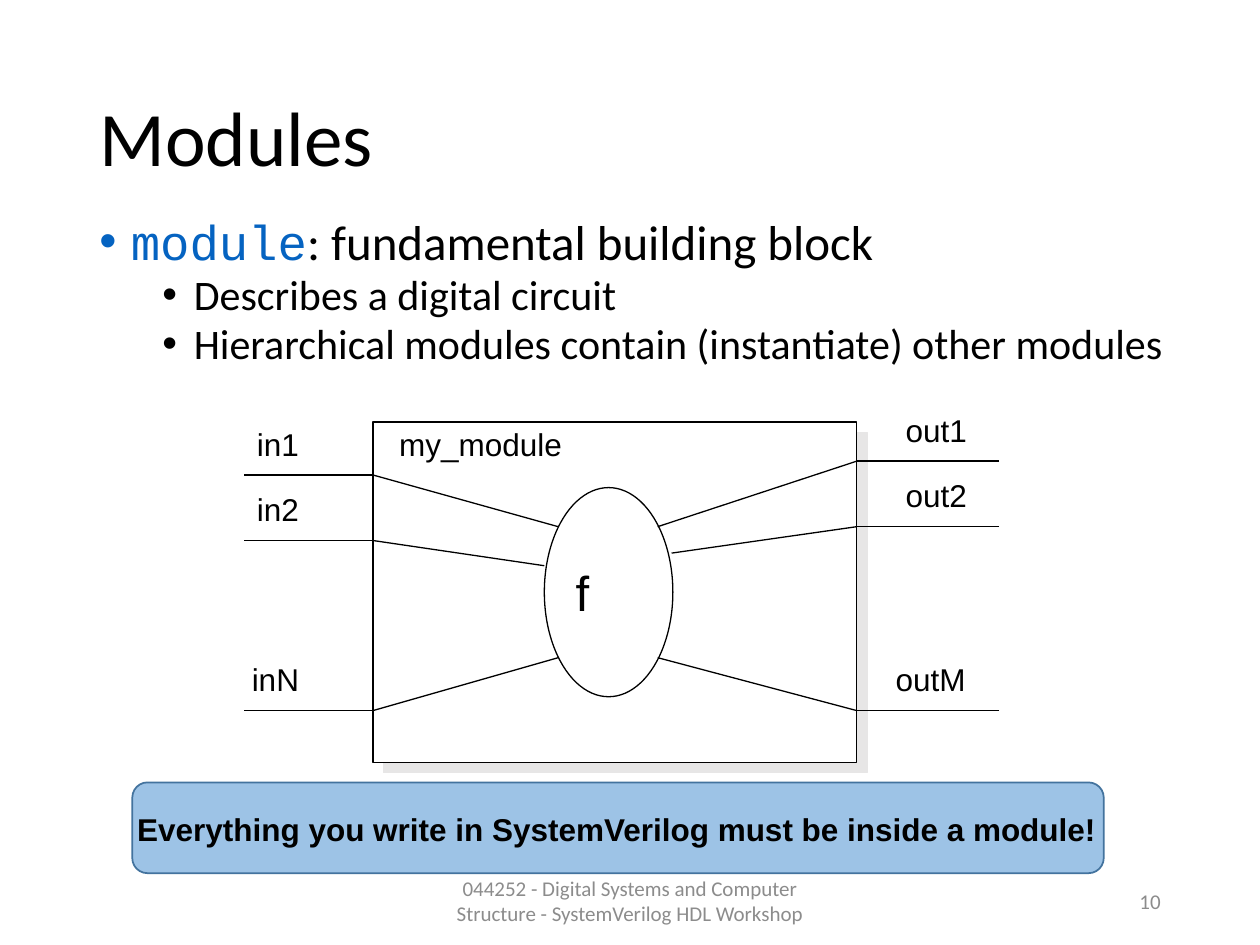
import dataclasses

import pptx
import pptx.dml.color
import pptx.enum.shapes
import pptx.enum.text
import pptx.oxml
import pptx.oxml.ns
import pptx.util

ALIGN = pptx.enum.text.PP_ALIGN
ANCHOR = pptx.enum.text.MSO_ANCHOR
SHAPE = pptx.enum.shapes.MSO_SHAPE
COLUMNS, ROWS = 100, 75


@dataclasses.dataclass(frozen=True)
class Theme:
    ink: str = "000000"
    paper: str = "FFFFFF"
    keyword: str = "0563C1"
    muted: str = "8C8C8C"
    shade: str = "E7E6E6"
    banner: str = "9DC3E6"
    banner_edge: str = "43739E"
    heading_font: str = "Calibri"
    diagram_font: str = "Arial"
    code_font: str = "Courier New"
    title: int = 44
    large: int = 28
    medium: int = 24
    label: int = 18
    footer: int = 12
    hairline: float = 0.75


THEME = Theme()


def color(value):
    return pptx.dml.color.RGBColor.from_string(value)


def write(paragraph, text, size, font=THEME.heading_font, ink=THEME.ink, bold=False):
    run = paragraph.add_run()
    run.text = text
    run.font.size = pptx.util.Pt(size)
    run.font.name = font
    run.font.color.rgb = color(ink)
    run.font.bold = bold


def add_effects(shape, content=""):
    effects = f'<a:effectLst {pptx.oxml.ns.nsdecls("a")}>{content}</a:effectLst>'
    shape._element.spPr.append(pptx.oxml.parse_xml(effects))


class SlideBuilder:
    def __init__(self, presentation, theme):
        self.theme = theme
        self.slide = presentation.slides.add_slide(presentation.slide_layouts[6])
        self.shapes = self.slide.shapes
        self.column = presentation.slide_width / COLUMNS
        self.row = presentation.slide_height / ROWS

    def place(self, left, top, width, height):
        return (round(left * self.column), round(top * self.row),
                round(width * self.column), round(height * self.row))

    def start_group(self):
        self.shapes = self.slide.shapes.add_group_shape().shapes

    def end_group(self):
        self.shapes = self.slide.shapes

    def text(self, area, text="", anchor=ANCHOR.MIDDLE, align=ALIGN.LEFT, spacing=None, **style):
        frame = self.shapes.add_textbox(*self.place(*area)).text_frame
        frame.word_wrap = True
        frame.vertical_anchor = anchor
        paragraph = frame.paragraphs[0]
        paragraph.alignment = align
        paragraph.line_spacing = spacing
        if text:
            write(paragraph, text, **style)
        return frame

    def label(self, area, text, **style):
        self.text(area, text, **{"size": self.theme.label, "font": self.theme.diagram_font, **style})

    def bullets(self, area, items):
        frame = self.text(area, anchor=ANCHOR.TOP)
        for index, (level, before, runs) in enumerate(items):
            paragraph = frame.add_paragraph() if index else frame.paragraphs[0]
            paragraph.level = level
            paragraph.line_spacing = 0.8
            paragraph.space_before = pptx.util.Pt(before)
            properties = paragraph._p.get_or_add_pPr()
            properties.set("marL", str(pptx.util.Inches(0.25 + 0.5 * level)))
            properties.set("indent", str(pptx.util.Inches(-0.25)))
            namespace = pptx.oxml.ns.nsdecls("a")
            properties.append(pptx.oxml.parse_xml(f'<a:buFont {namespace} typeface="Arial"/>'))
            properties.append(pptx.oxml.parse_xml(f'<a:buChar {namespace} char="•"/>'))
            for text, style in runs:
                write(paragraph, text, **style)

    def box(self, area, kind, fill, edge, width):
        shape = self.shapes.add_shape(kind, *self.place(*area))
        shape.shadow.inherit = False
        shape.fill.solid()
        shape.fill.fore_color.rgb = color(fill)
        shape.line.color.rgb = color(edge)
        shape.line.width = pptx.util.Pt(width)
        return shape

    def node(self, area, kind):
        return self.box(area, kind, self.theme.paper, self.theme.ink, self.theme.hairline)

    def cast_shadow(self, shape):
        shape._element.spPr.remove(shape._element.spPr.find(pptx.oxml.ns.qn("a:effectLst")))
        add_effects(shape, f'<a:outerShdw dist="{pptx.util.Pt(8.5)}" dir="2700000" algn="ctr" '
                           f'rotWithShape="0"><a:srgbClr val="{self.theme.shade}"/></a:outerShdw>')

    def wire(self, start, end):
        line = self.shapes.add_connector(
            pptx.enum.shapes.MSO_CONNECTOR.STRAIGHT, *self.place(*start, *end))
        line.line.color.rgb = color(self.theme.ink)
        line.line.width = pptx.util.Pt(self.theme.hairline)
        add_effects(line)


def draw_module(builder):
    left, right, label_height, label_rise = 29.6, 68, 5.4, 5.2
    builder.start_group()
    builder.cast_shadow(builder.node((left, 33.5, right - left, 27), SHAPE.RECTANGLE))
    function = builder.node((43.2, 38.7, 10.2, 16.6), SHAPE.OVAL).text_frame
    function.vertical_anchor = ANCHOR.MIDDLE
    function.paragraphs[0].alignment = ALIGN.LEFT
    write(function.paragraphs[0], "f", size=THEME.large, font=THEME.diagram_font)

    inputs = (19.4, left, (
        ("in1", 37.7, (44.3, 41.8), 19.4, 7.5),
        ("in2", 42.9, (43.2, 44.9), 19.4, 7.5),
        ("inN", 56.4, (44.3, 52.2), 19, 8.4)))
    outputs = (79.3, right, (
        ("out1", 36.6, (52.2, 41.8), 70.9, 9.4),
        ("out2", 41.8, (53.3, 43.9), 70.9, 9.4),
        ("outM", 56.4, (52.2, 52.2), 70.1, 10.9)))
    for outer, edge, ports in (inputs, outputs):
        for name, row, target, label_left, label_width in ports:
            builder.wire((outer, row), (edge, row))
            builder.wire((edge, row), target)
            builder.label((label_left, row - label_rise, label_width, label_height), name)
    builder.label((30.7, 32.5, 20.7, label_height), "my_module")
    builder.end_group()


def main():
    presentation = pptx.Presentation()
    presentation.slide_width = pptx.util.Inches(10)
    presentation.slide_height = pptx.util.Inches(7.5)
    builder = SlideBuilder(presentation, THEME)

    builder.text((6.9, 4, 86.2, 14.5), "Modules", spacing=0.9, size=THEME.title)
    builder.bullets((6.9, 17.2, 88.8, 46.3), (
        (0, 10, (
            ("module", {"size": THEME.large, "font": THEME.code_font, "ink": THEME.keyword}),
            (": fundamental building block", {"size": THEME.large}))),
        (1, 5, (("Describes a digital circuit", {"size": THEME.medium}),)),
        (1, 5, (("Hierarchical modules contain (instantiate) other modules",
                 {"size": THEME.medium}),))))
    footer = {"size": THEME.footer, "ink": THEME.muted}
    builder.text((33.1, 69.5, 33.8, 4),
                 "044252 - Digital Systems and Computer Structure - SystemVerilog HDL Workshop",
                 align=ALIGN.CENTER, **footer)
    builder.text((70.6, 69.5, 22.5, 4), "10", align=ALIGN.RIGHT, **footer)

    draw_module(builder)
    builder.box((10.5, 62.1, 77.1, 7.2), SHAPE.ROUNDED_RECTANGLE,
                THEME.banner, THEME.banner_edge, 1)
    builder.label((9.9, 63.8, 78.9, 4),
                  "Everything you write in SystemVerilog must be inside a module!", bold=True)
    presentation.save("out.pptx")


if __name__ == "__main__":
    main()
